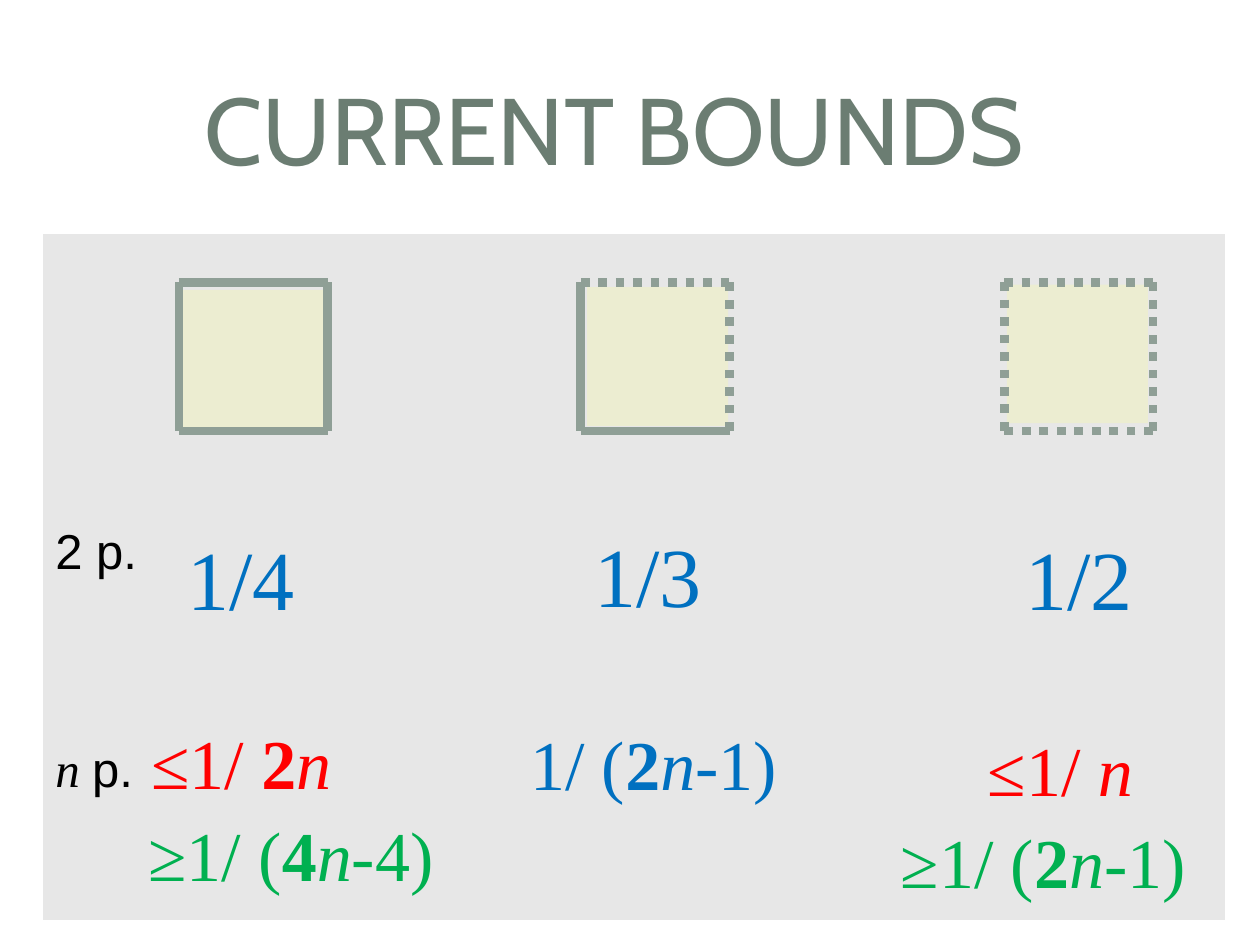
"""Build the slide of current bounds for three kinds of square."""
from typing import NamedTuple

import pptx
import pptx.dml.color
import pptx.enum.dml
import pptx.enum.text
import pptx.util
from lxml import etree

SCALE = 9144
SIDE, TOP = 118, 224
SERIF = "Times New Roman"
PLAIN_GRID = "{2D5ABB26-0587-4C30-8999-92F81FD0307C}"
COLORS = {
    "title": "6B7D72", "cell": "E7E7E7", "tile": "ECEDD1", "edge": "8F9F96",
    "blue": "0070C0", "red": "FF0000", "green": "00B050", "black": "000000",
}


class Tile(NamedTuple):
    """A square: left edge, inner fill corner, dotted sides (left, top, right, bottom)."""
    left: int
    fill_x: int
    fill_y: int
    dotted: tuple[bool, bool, bool, bool]


class Bound(NamedTuple):
    """A formula: box, size, color and its head, bold, italic and tail parts."""
    left: int
    top: int
    width: int
    height: int
    size: int
    color: str
    head: str
    bold: str = ""
    italic: str = ""
    tail: str = ""


TILES = [
    Tile(142, 145, 230, (False, False, False, False)),
    Tile(461, 466, 228, (False, True, True, False)),
    Tile(797, 799, 226, (True, True, True, True)),
]
BOUNDS = [
    Bound(139, 420, 118, 85, 48, "blue", "1/4"),
    Bound(462, 418, 118, 85, 48, "blue", "1/3"),
    Bound(804, 420, 118, 85, 48, "blue", "1/2"),
    Bound(110, 572, 171, 74, 40, "red", "≤1/ ", "2", "n"),
    Bound(411, 573, 278, 73, 40, "blue", "1/ (", "2", "n", "-1)"),
    Bound(774, 578, 171, 74, 40, "red", "≤1/ ", "", "n"),
    Bound(108, 645, 260, 74, 40, "green", "≥1/ (", "4", "n", "-4)"),
    Bound(705, 651, 260, 74, 40, "green", "≥1/ (", "2", "n", "-1)"),
]


def px(count: int) -> pptx.util.Emu:
    """Turn px into EMU."""
    return pptx.util.Emu(count * SCALE)


def rgb(name: str) -> pptx.dml.color.RGBColor:
    """Look up a named color."""
    return pptx.dml.color.RGBColor.from_string(COLORS[name])


def style(font, size: int, color: str, face: str | None = None) -> None:
    """Set size, color and, if given, face of a font."""
    font.size = pptx.util.Pt(size)
    font.color.rgb = rgb(color)
    if face:
        font.name = face


def draw_title(shapes) -> None:
    """Draw the centred title."""
    frame = shapes.add_textbox(px(36), px(44), px(903), px(114)).text_frame
    frame.word_wrap = True
    frame.vertical_anchor = pptx.enum.text.MSO_ANCHOR.MIDDLE
    para = frame.paragraphs[0]
    para.text = "CURRENT BOUNDS"
    para.alignment = pptx.enum.text.PP_ALIGN.CENTER
    style(para.font, 54, "title", "Cabin")


def draw_table(shapes) -> None:
    """Draw the grey grid with its row labels."""
    widths, heights = (86, 246, 322, 284), (198, 173, 173)
    table = shapes.add_table(3, 4, px(34), px(186), px(sum(widths)), px(sum(heights))).table
    table.first_row = table.horz_banding = False
    table._tbl.tblPr.find(pptx.oxml.ns.qn("a:tableStyleId")).text = PLAIN_GRID
    for col, width in zip(table.columns, widths):
        col.width = px(width)
    for row, height in zip(table.rows, heights):
        row.height = px(height)
    for cell in table.iter_cells():
        cell.fill.solid()
        cell.fill.fore_color.rgb = rgb("cell")
    labels = [[("2 p.", "Arial", False)], [("n ", SERIF, True), ("p.", "Arial", False)]]
    for index, parts in enumerate(labels, 1):
        cell = table.cell(index, 0)
        cell.margin_top = px(45)
        para = cell.text_frame.paragraphs[0]
        para.line_spacing = 0.66
        style(para.font, 28, "black")
        for text, face, slant in parts:
            run = para.add_run()
            run.text = text
            style(run.font, 28, "black", face)
            run.font.italic = slant


def draw_tile(shapes, tile: Tile) -> None:
    """Draw a square with solid or dotted sides."""
    group = shapes.add_group_shape().shapes
    face = group.add_shape(pptx.enum.shapes.MSO_SHAPE.RECTANGLE,
                           px(tile.fill_x), px(tile.fill_y), px(112), px(110))
    face.shadow.inherit = False
    face.fill.solid()
    face.fill.fore_color.rgb = rgb("tile")
    face.line.fill.background()
    left, right, low = tile.left, tile.left + SIDE, TOP + SIDE
    ends = [(left, TOP, left, low), (left, TOP, right, TOP),
            (right, low, right, TOP), (right, low, left, low)]
    for points, dotted in zip(ends, tile.dotted):
        edge = group.add_connector(pptx.enum.shapes.MSO_CONNECTOR.STRAIGHT, *map(px, points))
        edge.line.color.rgb = rgb("edge")
        edge.line.width = pptx.util.Pt(5)
        if dotted:
            edge.line.dash_style = pptx.enum.dml.MSO_LINE.ROUND_DOT
        etree.SubElement(edge._element.spPr, pptx.oxml.ns.qn("a:effectLst"))


def draw_bound(shapes, bound: Bound) -> None:
    """Draw a formula with its bold and italic parts."""
    frame = shapes.add_textbox(*map(px, bound[:4])).text_frame
    frame.word_wrap = True
    para = frame.paragraphs[0]
    para.line_spacing = 0.93
    style(para.font, bound.size, bound.color, SERIF)
    parts = [(bound.head, False, False), (bound.bold, True, False),
             (bound.italic, False, True), (bound.tail, False, False)]
    for text, bold, slant in parts:
        if text:
            run = para.add_run()
            run.text = text
            style(run.font, bound.size, bound.color, SERIF)
            run.font.bold, run.font.italic = bold, slant


def main() -> None:
    """Build and save the deck."""
    deck = pptx.Presentation()
    deck.slide_width, deck.slide_height = px(1000), px(750)
    shapes = deck.slides.add_slide(deck.slide_layouts[6]).shapes
    draw_title(shapes)
    draw_table(shapes)
    for tile in TILES:
        draw_tile(shapes, tile)
    for bound in BOUNDS:
        draw_bound(shapes, bound)
    deck.save("out.pptx")


if __name__ == "__main__":
    main()
